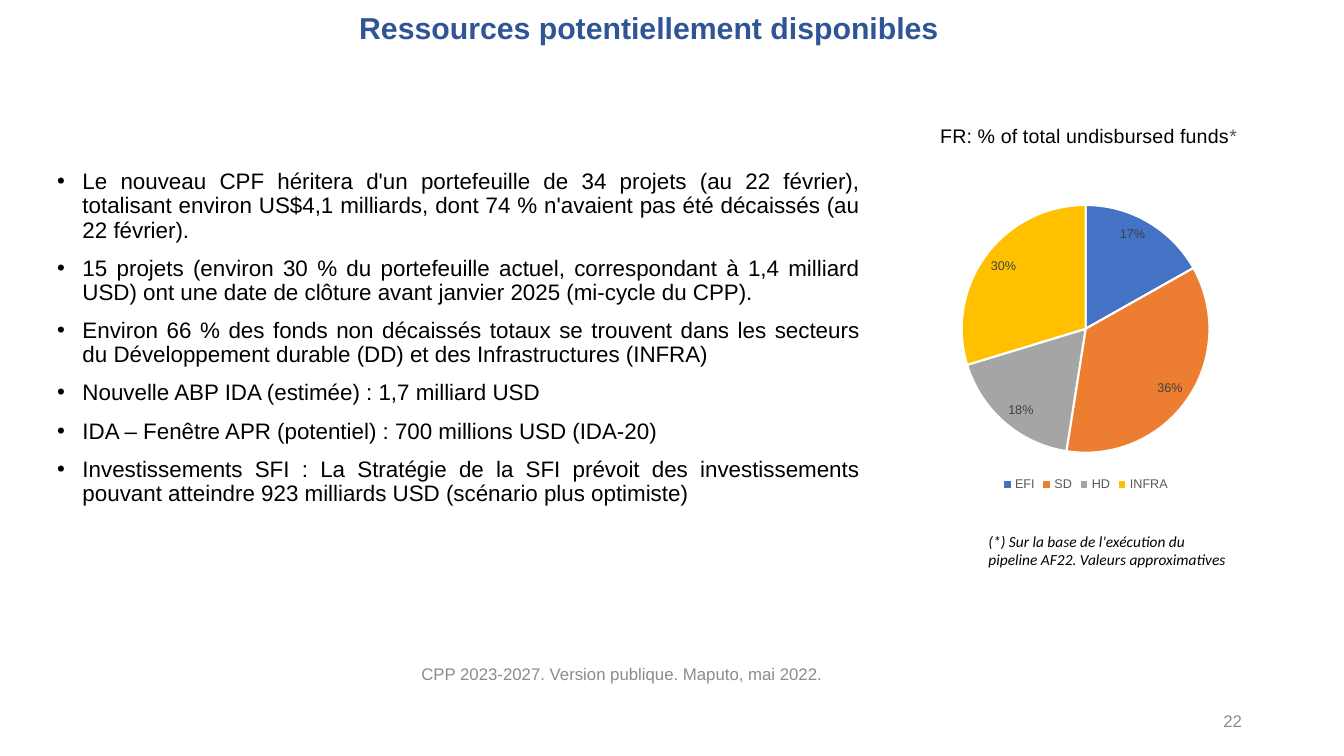
from dataclasses import dataclass

from lxml import etree
from pptx import Presentation
from pptx.chart.chart import Chart
from pptx.chart.data import CategoryChartData
from pptx.dml.color import RGBColor
from pptx.enum.chart import XL_CHART_TYPE, XL_LABEL_POSITION, XL_LEGEND_POSITION
from pptx.enum.text import MSO_ANCHOR, PP_ALIGN
from pptx.oxml.ns import qn
from pptx.slide import Slide
from pptx.text.text import Font
from pptx.util import Cm, Pt

LEFT, CENTER, RIGHT, JUSTIFY = PP_ALIGN.LEFT, PP_ALIGN.CENTER, PP_ALIGN.RIGHT, PP_ALIGN.JUSTIFY
TOP, MIDDLE = MSO_ANCHOR.TOP, MSO_ANCHOR.MIDDLE
PIE = XL_CHART_TYPE.PIE
LEGEND_BOTTOM = XL_LEGEND_POSITION.BOTTOM
INSIDE_END = XL_LABEL_POSITION.INSIDE_END

BLACK, BLUE, GREY = "000000", "2F5597", "8C8C8C"
DARK_GREY, LABEL_GREY, WHITE = "595959", "404040", "FFFFFF"
BULLET_INDENT = Cm(0.64)


@dataclass
class TextBlock:
    left: float
    top: float
    width: float
    height: float
    paragraphs: list[str]
    size: float
    color: str = BLACK
    font: str = "Arial"
    align: PP_ALIGN = LEFT
    anchor: MSO_ANCHOR = TOP
    bold: bool = False
    italic: bool = False
    bulleted: bool = False


@dataclass
class Sector:
    name: str
    share: float
    color: str


TEXT_BLOCKS = [
    TextBlock(24.66, 13.28, 6.55, 1.19,
              ["(*) Sur la base de l'exécution du pipeline AF22. Valeurs approximatives"],
              11, font="Calibri", italic=True),
    TextBlock(1.19, 4.17, 20.73, 10.31, [
        "Le nouveau CPF héritera d'un portefeuille de 34 projets (au 22 février), totalisant "
        "environ US$4,1 milliards, dont 74 % n'avaient pas été décaissés (au 22 février).",
        "15 projets (environ 30 % du portefeuille actuel, correspondant à 1,4 milliard USD) "
        "ont une date de clôture avant janvier 2025 (mi-cycle du CPP).",
        "Environ 66 % des fonds non décaissés totaux se trouvent dans les secteurs du "
        "Développement durable (DD) et des Infrastructures (INFRA)",
        "Nouvelle ABP IDA (estimée) : 1,7 milliard USD",
        "IDA – Fenêtre APR (potentiel) : 700 millions USD (IDA-20)",
        "Investissements SFI : La Stratégie de la SFI prévoit des investissements pouvant "
        "atteindre 923 milliards USD (scénario plus optimiste)",
    ], 16, align=JUSTIFY, bulleted=True),
    TextBlock(1.75, 0.05, 29.21, 1.27, ["Ressources potentiellement disponibles"],
              21.6, BLUE, align=CENTER, anchor=MIDDLE, bold=True),
    TextBlock(9.96, 16.46, 11.43, 1.02, ["CPP 2023-2027. Version publique. Maputo, mai 2022."],
              12, GREY, align=CENTER, anchor=MIDDLE),
    TextBlock(23.93, 17.65, 7.62, 1.02, ["22"], 12, GREY, align=RIGHT, anchor=MIDDLE),
]

SECTORS = [
    Sector("EFI", 0.17, "4472C4"),
    Sector("SD", 0.36, "ED7D31"),
    Sector("HD", 0.18, "A5A5A5"),
    Sector("INFRA", 0.3, "FFC000"),
]


def rgb(color: str) -> RGBColor:
    return RGBColor.from_string(color)


def style_font(font: Font, size: float, color: str, name: str = "Arial",
               bold: bool = False, italic: bool = False) -> None:
    font.name, font.size, font.bold, font.italic = name, Pt(size), bold, italic
    font.color.rgb = rgb(color)


def add_text(slide: Slide, block: TextBlock) -> None:
    box = slide.shapes.add_textbox(Cm(block.left), Cm(block.top),
                                   Cm(block.width), Cm(block.height))
    frame = box.text_frame
    frame.text = "\n".join(block.paragraphs)
    frame.word_wrap = True
    frame.vertical_anchor = block.anchor
    for index, paragraph in enumerate(frame.paragraphs):
        paragraph.alignment = block.align
        if block.bulleted:
            properties = paragraph._p.get_or_add_pPr()
            properties.set("marL", str(BULLET_INDENT))
            properties.set("indent", str(-BULLET_INDENT))
            etree.SubElement(properties, qn("a:buFont")).set("typeface", "Arial")
            etree.SubElement(properties, qn("a:buChar")).set("char", "•")
            paragraph.line_spacing = 0.9
            paragraph.space_before = Pt(10 if index else 0)
        for run in paragraph.runs:
            style_font(run.font, block.size, block.color, block.font, block.bold, block.italic)


def set_layout(parent: etree._Element, position: int, **fractions: float) -> None:
    """Place a chart part by fractions of the chart area."""
    for old_layout in parent.findall(qn("c:layout")):
        parent.remove(old_layout)
    layout = etree.Element(qn("c:layout"))
    manual = etree.SubElement(layout, qn("c:manualLayout"))
    if "w" in fractions:
        etree.SubElement(manual, qn("c:layoutTarget")).set("val", "inner")
    for axis in ("x", "y"):
        etree.SubElement(manual, qn(f"c:{axis}Mode")).set("val", "edge")
    for key, value in fractions.items():
        etree.SubElement(manual, qn(f"c:{key}")).set("val", str(value))
    parent.insert(position, layout)


def add_title(chart: Chart) -> None:
    chart.has_title = True
    paragraph = chart.chart_title.text_frame.paragraphs[0]
    for text, color in (("FR: % of total undisbursed funds", BLACK), ("*", DARK_GREY)):
        run = paragraph.add_run()
        run.text = text
        style_font(run.font, 14, color)
    title = chart.element.find(".//" + qn("c:title"))
    set_layout(title, 1, x=0.165, y=0.045)


def add_funds_chart(slide: Slide) -> None:
    data = CategoryChartData(number_format="0%")
    data.categories = [sector.name for sector in SECTORS]
    data.add_series("Series 1", [sector.share for sector in SECTORS])
    chart = slide.shapes.add_chart(PIE, Cm(21.77), Cm(2.59), Cm(11.18), Cm(9.91), data).chart
    style_font(chart.font, 10, BLACK)
    add_title(chart)
    set_layout(chart.element.find(".//" + qn("c:plotArea")), 0, x=0.22, y=0.26, w=0.56, h=0.63)

    chart.has_legend = True
    chart.legend.position = LEGEND_BOTTOM
    chart.legend.include_in_layout = False
    style_font(chart.legend.font, 9, DARK_GREY)

    plot = chart.plots[0]
    plot.vary_by_categories = True
    plot.has_data_labels = True
    labels = plot.data_labels
    labels.show_value = True
    labels.show_percentage = False
    labels.number_format = "0%"
    labels.number_format_is_linked = False
    labels.position = INSIDE_END
    style_font(labels.font, 9, LABEL_GREY)

    for index, sector in enumerate(SECTORS):
        slice_format = plot.series[0].points[index].format
        slice_format.fill.solid()
        slice_format.fill.fore_color.rgb = rgb(sector.color)
        slice_format.line.color.rgb = rgb(WHITE)
        slice_format.line.width = Pt(1.5)


def main() -> None:
    presentation = Presentation()
    presentation.slide_width, presentation.slide_height = Cm(33.87), Cm(19.05)
    slide = presentation.slides.add_slide(presentation.slide_layouts[6])
    for block in TEXT_BLOCKS:
        add_text(slide, block)
    add_funds_chart(slide)
    presentation.save("out.pptx")


if __name__ == "__main__":
    main()
